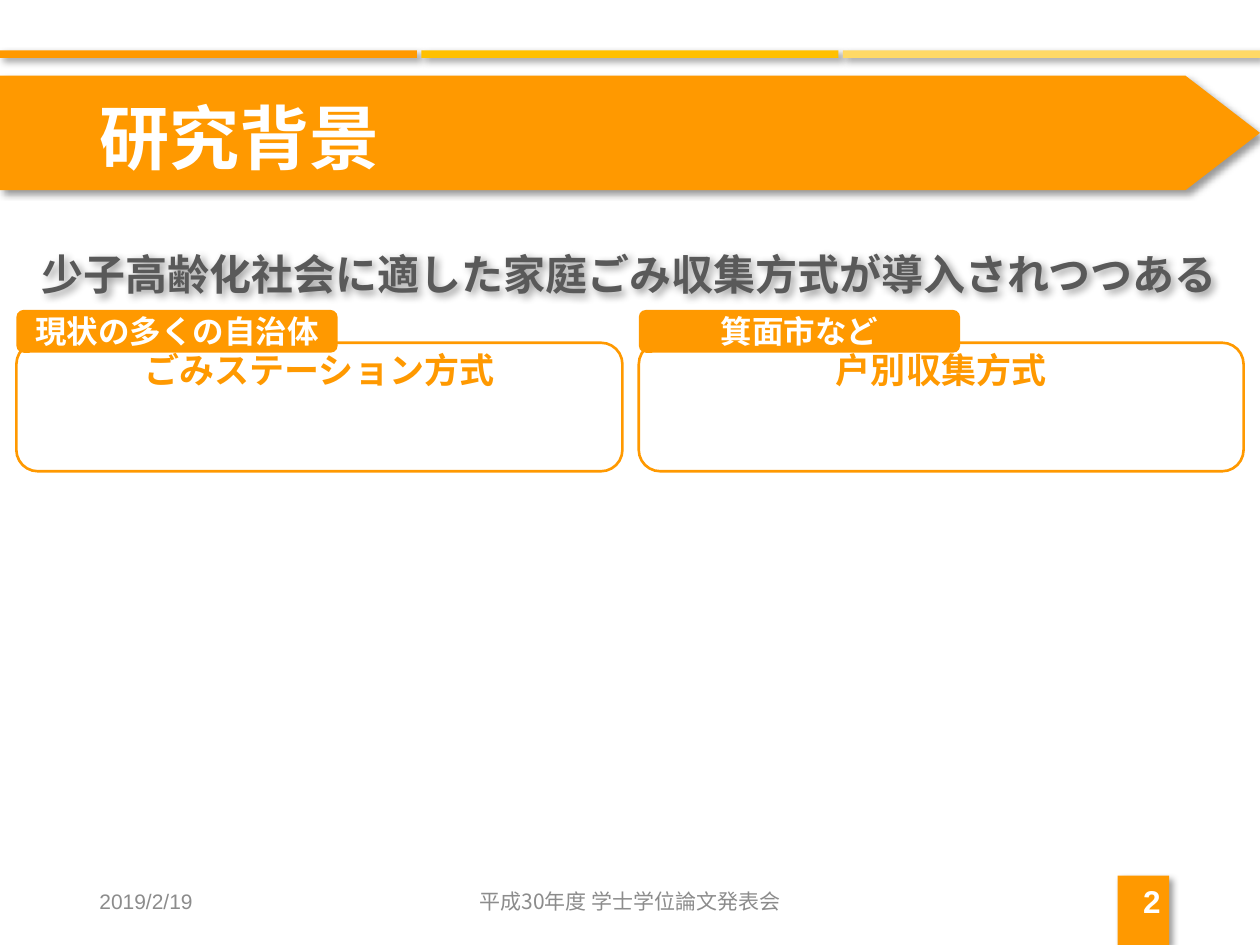
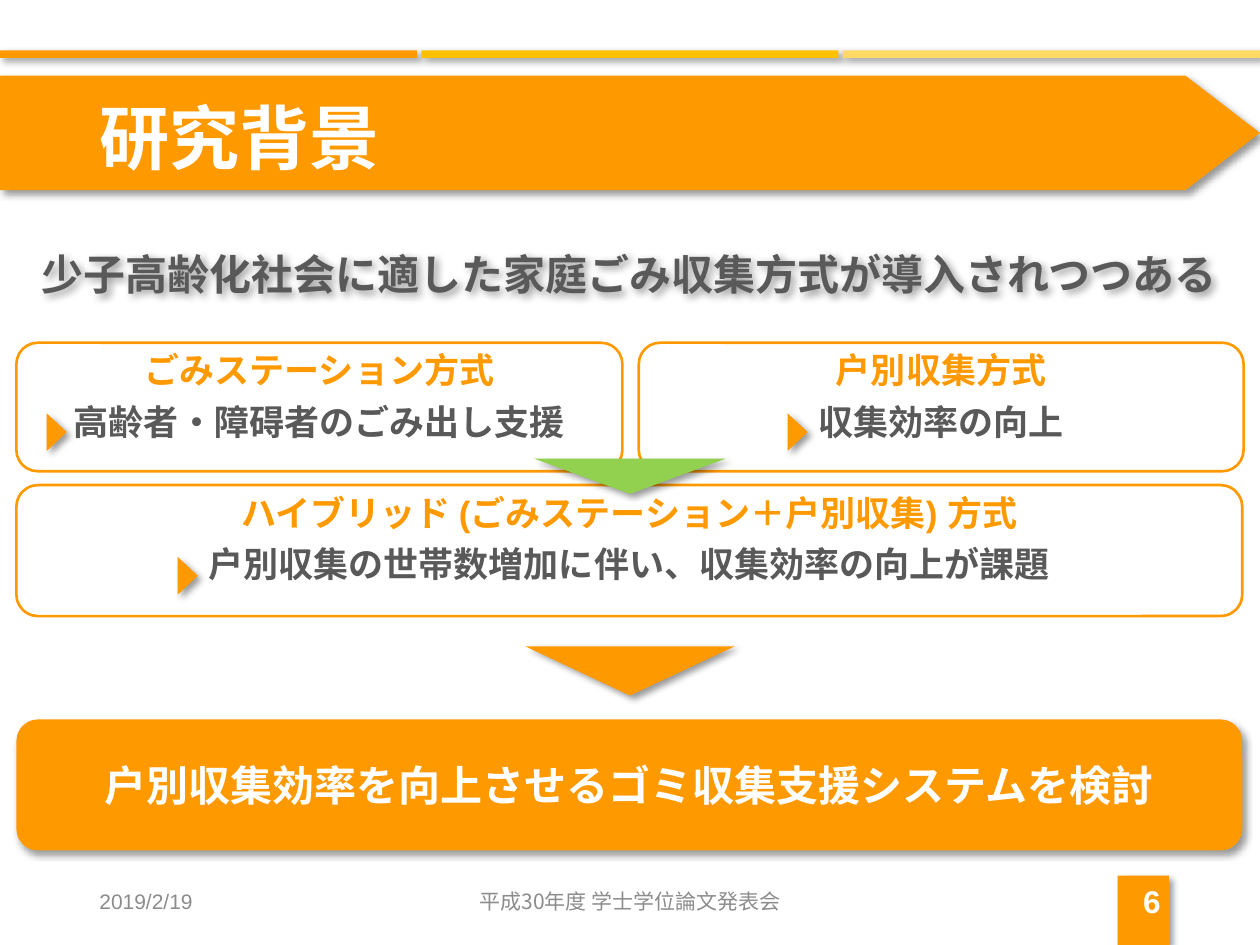
"""Build two slides on the background of household waste collection research."""
import copy

import pptx
import pptx.dml.color
import pptx.enum.shapes
import pptx.enum.text
import pptx.oxml
import pptx.oxml.ns
import pptx.util
from lxml import etree

Inches = pptx.util.Inches
Pt = pptx.util.Pt
SHAPE = pptx.enum.shapes.MSO_SHAPE
ALIGN = pptx.enum.text.PP_ALIGN
ANCHOR = pptx.enum.text.MSO_ANCHOR
hex_color = pptx.dml.color.RGBColor.from_string
qn = pptx.oxml.ns.qn

ORANGE, AMBER, SAND, GREEN = "FF9900", "FFC000", "FFD966", "92D050"
WHITE, DARK, GREY = "FFFFFF", "595959", "8C8C8C"
CJK = "Noto Sans CJK JP"
LEFT, WIDTH, BOX_TOP = 0.13, 9.73, 2.72
SHADOW = pptx.oxml.parse_xml(
    '<a:outerShdw xmlns:a="http://schemas.openxmlformats.org/drawingml/2006/main" '
    'blurRad="50800" dist="38100" dir="2700000" algn="tl" rotWithShape="0">'
    '<a:srgbClr val="000000"><a:alpha val="40000"/></a:srgbClr></a:outerShdw>')


def add_block(slide, kind, place, fill=None, shadow=False, rotation=0):
    """Add a filled shape, or an orange outline when there is no fill."""
    block = slide.shapes.add_shape(kind, *map(Inches, place))
    block.rotation = rotation
    block.shadow.inherit = False
    if shadow:
        block._element.spPr.find(qn("a:effectLst")).append(copy.deepcopy(SHADOW))
    if fill:
        block.fill.solid()
        block.fill.fore_color.rgb = hex_color(fill)
        block.line.fill.background()
    else:
        block.fill.background()
        block.line.color.rgb = hex_color(ORANGE)
        block.line.width = Pt(1.5)
    return block


def write(holder, text, size, colors, align=ALIGN.CENTER, anchor=ANCHOR.MIDDLE,
          bold=True, font="Arial", spacing=None):
    """Fill a shape with text, one colour for each paragraph."""
    frame = holder.text_frame
    frame.text = text
    frame.word_wrap = True
    frame.auto_size = pptx.enum.text.MSO_AUTO_SIZE.NONE
    frame.vertical_anchor = anchor
    for paragraph, color in zip(frame.paragraphs, colors):
        paragraph.alignment = align
        paragraph.line_spacing = spacing
        run = paragraph.runs[0]
        run.font.size = Pt(size)
        run.font.bold = bold
        run.font.name = font
        run.font.color.rgb = hex_color(color)
        etree.SubElement(run.font._element, qn("a:ea"), typeface=CJK)


prs = pptx.Presentation()
prs.slide_width, prs.slide_height = Inches(10), Inches(7.5)
layout = prs.slide_layouts[1]
for placeholder, place in zip(layout.placeholders,
                              [(0.69, 0.4, 8.62, 1.45), (LEFT, 2, WIDTH, 4.76)]):
    placeholder.left, placeholder.top, placeholder.width, placeholder.height = map(Inches, place)

slides = []
for number in ("2", "6"):
    slide = prs.slides.add_slide(layout)
    slides.append(slide)
    title, message = slide.placeholders
    for holder in (title, message):
        source = layout.placeholders[holder.placeholder_format.idx]
        holder.left, holder.top = source.left, source.top
        holder.width, holder.height = source.width, source.height
    write(title, "研究背景", 40, [WHITE], ALIGN.LEFT, spacing=0.9)
    write(message, "少子高齢化社会に適した家庭ごみ収集方式が導入されつつある", 24, [DARK],
          anchor=ANCHOR.TOP, spacing=0.8)
    message.text_frame.paragraphs[0].space_before = Pt(0)
    properties = message.text_frame.paragraphs[0]._p.get_or_add_pPr()
    properties.set("marL", "0")
    properties.set("indent", "0")
    etree.SubElement(properties, qn("a:buNone"))
    message.shadow.inherit = False
    message._element.spPr.find(qn("a:effectLst")).append(copy.deepcopy(SHADOW))

    for text, left, width, size, color, align, bold, font in [
            ("2019/2/19", 0.69, 2.25, 12, GREY, ALIGN.LEFT, False, "Arial"),
            ("平成30年度 学士学位論文発表会", 3.31, 3.38, 12, GREY, ALIGN.CENTER, False, CJK),
            (number, 7.06, 2.25, 18, WHITE, ALIGN.RIGHT, True, "Arial")]:
        footer = slide.shapes.add_textbox(Inches(left), Inches(6.95), Inches(width), Inches(0.4))
        write(footer, text, size, [color], align, bold=bold, font=font)

overview, proposal = slides

banner = add_block(overview, SHAPE.PENTAGON, (0, 0.6, 10, 0.91), ORANGE, True)
banner.adjustments[0] = 0.65
bands = [add_block(overview, SHAPE.RECTANGLE, (8.87, 6.95, 0.41, 0.55), ORANGE, True), banner]
for index, color in enumerate((ORANGE, AMBER, SAND)):
    stripe = (3.345 * index, 0.4, 3.31, 0.06)
    bands.append(add_block(overview, SHAPE.RECTANGLE, stripe, color, True))
for position, band in enumerate(bands, start=2):
    layout.shapes._spTree.insert(position, band._element)

methods = [
    ("ごみステーション方式", "高齢者・障碍者のごみ出し支援", (LEFT, BOX_TOP, 4.81, 1.02)),
    ("戸別収集方式", "収集効率の向上", (5.07, BOX_TOP, 4.8, 1.02)),
    ("ハイブリッド (ごみステーション＋戸別収集) 方式",
     "戸別収集の世帯数増加に伴い、収集効率の向上が課題", (LEFT, 3.85, WIDTH, 1.04))]

for method, effect, place in methods[:2]:
    box = add_block(overview, SHAPE.ROUNDED_RECTANGLE, place)
    write(box, method, 20, [ORANGE], anchor=ANCHOR.TOP, spacing=0.85)
for area, left in (("現状の多くの自治体", LEFT), ("箕面市など", 5.07)):
    tab = add_block(overview, SHAPE.ROUNDED_RECTANGLE, (left, 2.46, 2.55, 0.34), ORANGE)
    write(tab, area, 18, [WHITE], font="Calibri")

for method, effect, place in methods:
    box = add_block(proposal, SHAPE.ROUNDED_RECTANGLE, place)
    write(box, method + "\n" + effect, 20, [ORANGE, DARK], anchor=ANCHOR.TOP, spacing=0.85)
    box.text_frame.paragraphs[1].space_before = Pt(9)
for left, top in ((0.3, 3.35), (6.18, 3.35), (1.34, 4.49)):
    add_block(proposal, SHAPE.ISOSCELES_TRIANGLE, (left, top, 0.3, 0.16), ORANGE, True, 90)
for place, color in (((4.17, 5.13, 1.66, 0.39), ORANGE), ((4.24, 3.64, 1.52, 0.28), GREEN)):
    add_block(proposal, SHAPE.ISOSCELES_TRIANGLE, place, color, True, 180)
conclusion = add_block(proposal, SHAPE.ROUNDED_RECTANGLE, (LEFT, 5.71, WIDTH, 1.04), ORANGE, True)
write(conclusion, "戸別収集効率を向上させるゴミ収集支援システムを検討", 24, [WHITE])

prs.save("out.pptx")
